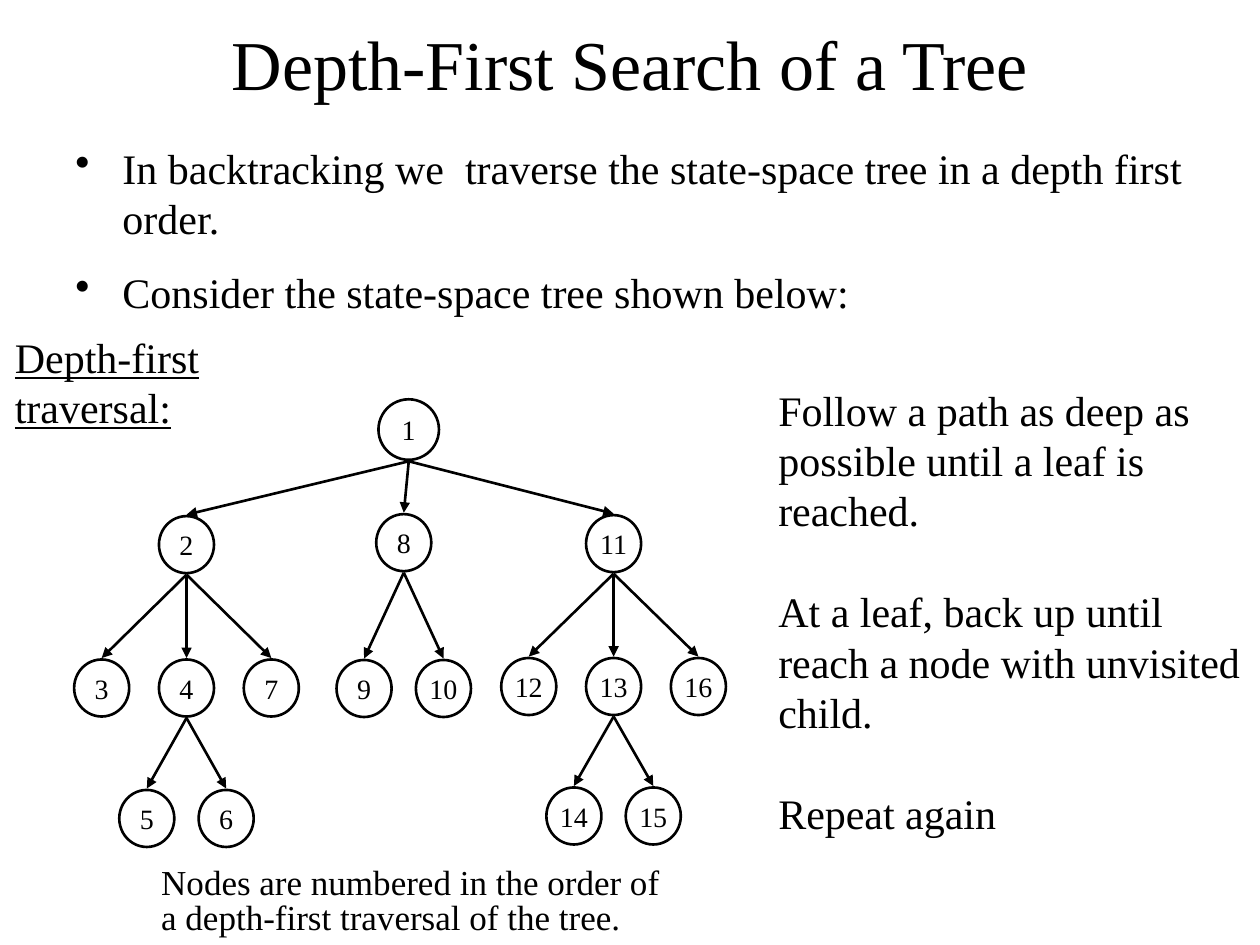
import pptx
import pptx.dml.color
import pptx.enum.shapes
import pptx.enum.text
import pptx.oxml
import pptx.oxml.ns
import pptx.util

Cm, Pt = pptx.util.Cm, pptx.util.Pt
ALIGN = pptx.enum.text.PP_ALIGN
ANCHOR = pptx.enum.text.MSO_ANCHOR

THEME = {
    "font": "Times New Roman",
    "ink": pptx.dml.color.RGBColor(0, 0, 0),
    "title": 40, "body": 24, "caption": 20, "node": 16,
    "line": 1.5,
}

TITLE = "Depth-First Search of a Tree"
BULLETS = [
    "In backtracking we  traverse the state-space tree in a depth first order.",
    "Consider the state-space tree shown below:",
]
HEADING = ["Depth-first traversal:"]
STEPS = [
    "Follow a path as deep as possible until a leaf is reached.",
    "At a leaf, back up until",
    "reach a node with unvisited child.",
    "Repeat again",
]
CAPTION = ["Nodes are numbered in the order of", "a depth-first traversal of the tree."]

# Tree of (label, children); lengths below are centimetres.
BRANCHES = [
    {"x": 3.76, "levels": (10.98, 13.87, 16.5),
     "tree": (2, [(3, []), (4, [(5, []), (6, [])]), (7, [])])},
    {"x": 8.14, "levels": (10.94, 13.88),
     "tree": (8, [(9, []), (10, [])])},
    {"x": 12.37, "levels": (10.96, 13.84, 16.45),
     "tree": (11, [(12, []), (13, [(14, []), (15, [])]), (16, [])])},
]
ROOT = {"label": 1, "x": 8.24, "y": 8.66, "size": (1.22, 1.22)}
NODE_SIZE = (1.11, 1.15)
CHILD_STEP = {2: 1.6, 3: 1.71}
ARROW_GAP = 0.03


def write(frame, lines, size, align=ALIGN.LEFT, anchor=ANCHOR.TOP, wrap=True,
          underline=None, bullet=None, before=(), spacing=()):
    """Fill a frame; before and spacing give values by paragraph number."""
    frame.word_wrap = wrap
    frame.vertical_anchor = anchor
    before, spacing = dict(before), dict(spacing)
    for number, line in enumerate(lines):
        para = frame.paragraphs[0] if number == 0 else frame.add_paragraph()
        para.alignment = align
        para.space_before = Pt(before.get(number, 0))
        para.line_spacing = spacing.get(number, 1.0)
        if bullet:
            props = para._p.get_or_add_pPr()
            props.set("marL", str(Cm(0.95)))
            props.set("indent", str(-Cm(0.95)))
            mark = pptx.oxml.parse_xml(
                f'<a:buChar {pptx.oxml.ns.nsdecls("a")} char="{bullet}"/>')
            props.append(mark)
        span = para.add_run()
        span.text = line
        span.font.name = THEME["font"]
        span.font.size = Pt(size)
        span.font.color.rgb = THEME["ink"]
        span.font.underline = underline


def add_text(page, place, lines, size, **form):
    box = page.shapes.add_textbox(*map(Cm, place))
    write(box.text_frame, lines, size, **form)
    return box


def add_node(group, label, x, y, size=NODE_SIZE):
    width, height = size
    node = group.shapes.add_shape(
        pptx.enum.shapes.MSO_SHAPE.OVAL,
        Cm(x - width / 2), Cm(y - height / 2), Cm(width), Cm(height))
    node.shadow.inherit = False
    node.fill.background()
    node.line.color.rgb = THEME["ink"]
    node.line.width = Pt(THEME["line"])
    write(node.text_frame, [str(label)], THEME["node"], align=ALIGN.CENTER,
          anchor=ANCHOR.MIDDLE, wrap=False)


def add_arrow(group, x, y, child_x, child_y, height=NODE_SIZE[1]):
    """Join the bottom of a parent node to the top of its child."""
    arrow = group.shapes.add_connector(
        pptx.enum.shapes.MSO_CONNECTOR.STRAIGHT,
        Cm(x), Cm(y + height / 2 + ARROW_GAP),
        Cm(child_x), Cm(child_y - NODE_SIZE[1] / 2 - ARROW_GAP))
    arrow.line.color.rgb = THEME["ink"]
    arrow.line.width = Pt(THEME["line"])
    names = pptx.oxml.ns.nsdecls("a")
    arrow.line._get_or_add_ln().append(
        pptx.oxml.parse_xml(f'<a:tailEnd {names} type="triangle"/>'))
    arrow._element.spPr.append(pptx.oxml.parse_xml(f"<a:effectLst {names}/>"))


def add_subtree(group, tree, x, levels):
    label, children = tree
    add_node(group, label, x, levels[0])
    for place, child in enumerate(children):
        shift = place - (len(children) - 1) / 2
        child_x = x + shift * CHILD_STEP[len(children)]
        add_arrow(group, x, levels[0], child_x, levels[1])
        add_subtree(group, child, child_x, levels[1:])


def add_tree(page):
    group = page.shapes.add_group_shape()
    add_node(group, ROOT["label"], ROOT["x"], ROOT["y"], ROOT["size"])
    for branch in BRANCHES:
        add_arrow(group, ROOT["x"], ROOT["y"], branch["x"], branch["levels"][0],
                  height=ROOT["size"][1])
        add_subtree(group, branch["tree"], branch["x"], branch["levels"])


def main():
    deck = pptx.Presentation()
    deck.slide_width, deck.slide_height = Cm(25.4), Cm(19.05)
    page = deck.slides.add_slide(deck.slide_layouts.get_by_name("Title Only"))

    title = page.shapes.title
    title.left, title.top, title.width, title.height = map(Cm, (1.27, 0, 22.86, 2.54))
    write(title.text_frame, [TITLE], THEME["title"], align=ALIGN.CENTER,
          anchor=ANCHOR.MIDDLE)

    add_text(page, (1.27, 2.74, 23.29, 16.31), BULLETS, THEME["body"],
             bullet="•", before={0: 3, 1: 13.6})
    add_text(page, (3, 17.22, 10.97, 1.83), CAPTION, THEME["caption"],
             spacing={1: 0.85})
    add_tree(page)
    heading = add_text(page, (0.15, 6.55, 7.47, 1.27), HEADING, THEME["body"],
                       wrap=False, underline=True)
    heading.text_frame.margin_left = Cm(0.15)
    steps = add_text(page, (15.44, 7.62, 9.73, 9.4), STEPS, THEME["body"],
                     before={1: 28.8, 3: 28.8})
    steps.text_frame.margin_right = Cm(0.15)
    deck.save("out.pptx")


if __name__ == "__main__":
    main()
